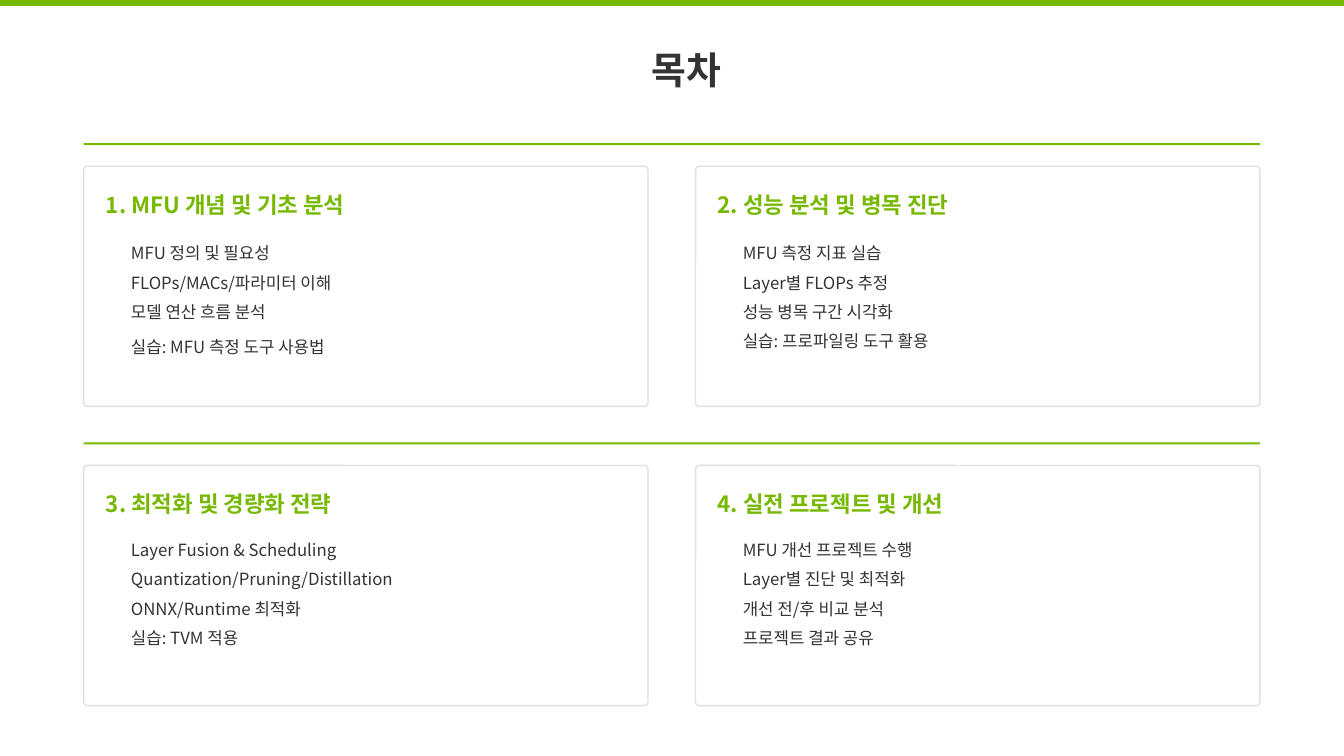
from lxml import etree
from pptx import Presentation
from pptx.dml.color import RGBColor
from pptx.enum.shapes import MSO_SHAPE
from pptx.enum.text import MSO_ANCHOR, PP_ALIGN
from pptx.oxml.ns import qn
from pptx.util import Cm, Pt

RECT, ROUND = MSO_SHAPE.RECTANGLE, MSO_SHAPE.ROUNDED_RECTANGLE
MIDDLE = MSO_ANCHOR.MIDDLE
LEFT, CENTER = PP_ALIGN.LEFT, PP_ALIGN.CENTER

FONT = "Noto Sans CJK KR"
COLORS = {"green": "76B900", "text": "333333", "border": "E0E0E0"}
FORMATS = {
    "title": {"size": Pt(27), "bold": True, "color": "text", "align": CENTER},
    "heading": {"size": Pt(16), "bold": True, "color": "green", "align": LEFT},
    "item": {"size": Pt(12), "bold": False, "color": "text", "align": LEFT},
}

SLIDE_W, SLIDE_H = 33.87, 19.05
COLUMNS = (2.11, 17.53)
ROWS = (4.19, 11.73)
CARD_W, CARD_H = 14.22, 6.05
RULE_W, RULE_H, RULE_GAP = 29.64, 0.05, 0.58
HEADING_DX, HEADING_DY, HEADING_H = 0.56, 0.55, 0.84
ITEM_DX, ITEM_H, ITEM_PITCH = 1.19, 0.64, 0.74
FIRST_ITEM_DY = (1.87, 1.8)
LAST_ITEM_SHIFT = 0.14

SECTIONS = [
    ("1. MFU 개념 및 기초 분석", 7.09, [
        ("MFU 정의 및 필요성", 3.91),
        ("FLOPs/MACs/파라미터 이해", 5.38),
        ("모델 연산 흐름 분석", 3.81),
        ("실습: MFU 측정 도구 사용법", 5.31)]),
    ("2. 성능 분석 및 병목 진단", 6.68, [
        ("MFU 측정 지표 실습", 3.91),
        ("Layer별 FLOPs 추정", 4.04),
        ("성능 병목 구간 시각화", 4.19),
        ("실습: 프로파일링 도구 활용", 5.08)]),
    ("3. 최적화 및 경량화 전략", 6.22, [
        ("Layer Fusion & Scheduling", 5.59),
        ("Quantization/Pruning/Distillation", 6.91),
        ("ONNX/Runtime 최적화", 4.8),
        ("실습: TVM 적용", 3.1)]),
    ("4. 실전 프로젝트 및 개선", 6.68, [
        ("MFU 개선 프로젝트 수행", 4.67),
        ("Layer별 진단 및 최적화", 4.5),
        ("개선 전/후 비교 분석", 3.96),
        ("프로젝트 결과 공유", 3.68)]),
]


def rgb(name):
    """Return the palette colour with the given name."""
    return RGBColor.from_string(COLORS[name])


def add_bar(s, x, y, w, h):
    """Add a solid green bar."""
    sp = s.shapes.add_shape(RECT, Cm(x), Cm(y), Cm(w), Cm(h))
    sp.shadow.inherit = False
    sp.fill.solid()
    sp.fill.fore_color.rgb = rgb("green")
    sp.line.fill.background()


def add_card(s, x, y):
    """Add an outlined card with slightly rounded corners."""
    sp = s.shapes.add_shape(ROUND, Cm(x), Cm(y), Cm(CARD_W), Cm(CARD_H))
    sp.adjustments[0] = 0.015
    sp.shadow.inherit = False
    sp.fill.background()
    sp.line.color.rgb = rgb("border")
    sp.line.width = Pt(1)


def add_text(s, text, kind, x, y, w, h):
    """Add a single line of text in one of the named formats."""
    fmt = FORMATS[kind]
    tf = s.shapes.add_textbox(Cm(x), Cm(y), Cm(w), Cm(h)).text_frame
    frame = {"margin_left": 0, "margin_right": 0, "margin_top": 0,
             "margin_bottom": 0, "vertical_anchor": MIDDLE, "word_wrap": False}
    for name, value in frame.items():
        setattr(tf, name, value)
    p = tf.paragraphs[0]
    p.alignment = fmt["align"]
    r = p.add_run()
    r.text = text
    r.font.color.rgb = rgb(fmt["color"])
    for name, value in {"name": FONT, "size": fmt["size"], "bold": fmt["bold"]}.items():
        setattr(r.font, name, value)
    etree.SubElement(r._r.get_or_add_rPr(), qn("a:ea"), typeface=FONT)


def add_section(s, index, heading, width, items):
    """Add a card with its heading and items at its place in the grid."""
    row, col = divmod(index, len(COLUMNS))
    x, y = COLUMNS[col], ROWS[row]
    add_card(s, x, y)
    add_text(s, heading, "heading", x + HEADING_DX, y + HEADING_DY, width, HEADING_H)
    for i, (text, w) in enumerate(items):
        top = y + FIRST_ITEM_DY[row] + i * ITEM_PITCH
        if index == 0 and i == len(items) - 1:
            top += LAST_ITEM_SHIFT
        add_text(s, text, "item", x + ITEM_DX, top, w, ITEM_H)


def main():
    """Build the contents slide and save it."""
    prs = Presentation()
    prs.slide_width, prs.slide_height = Cm(SLIDE_W), Cm(SLIDE_H)
    s = prs.slides.add_slide(prs.slide_layouts[6])
    add_bar(s, 0, 0, SLIDE_W, 0.15)
    add_text(s, "목차", "title", 16.05, 1.07, 2.49, 1.37)
    for y in ROWS:
        add_bar(s, COLUMNS[0], y - RULE_GAP, RULE_W, RULE_H)
    for i, section in enumerate(SECTIONS):
        add_section(s, i, *section)
    prs.save("out.pptx")


if __name__ == "__main__":
    main()
